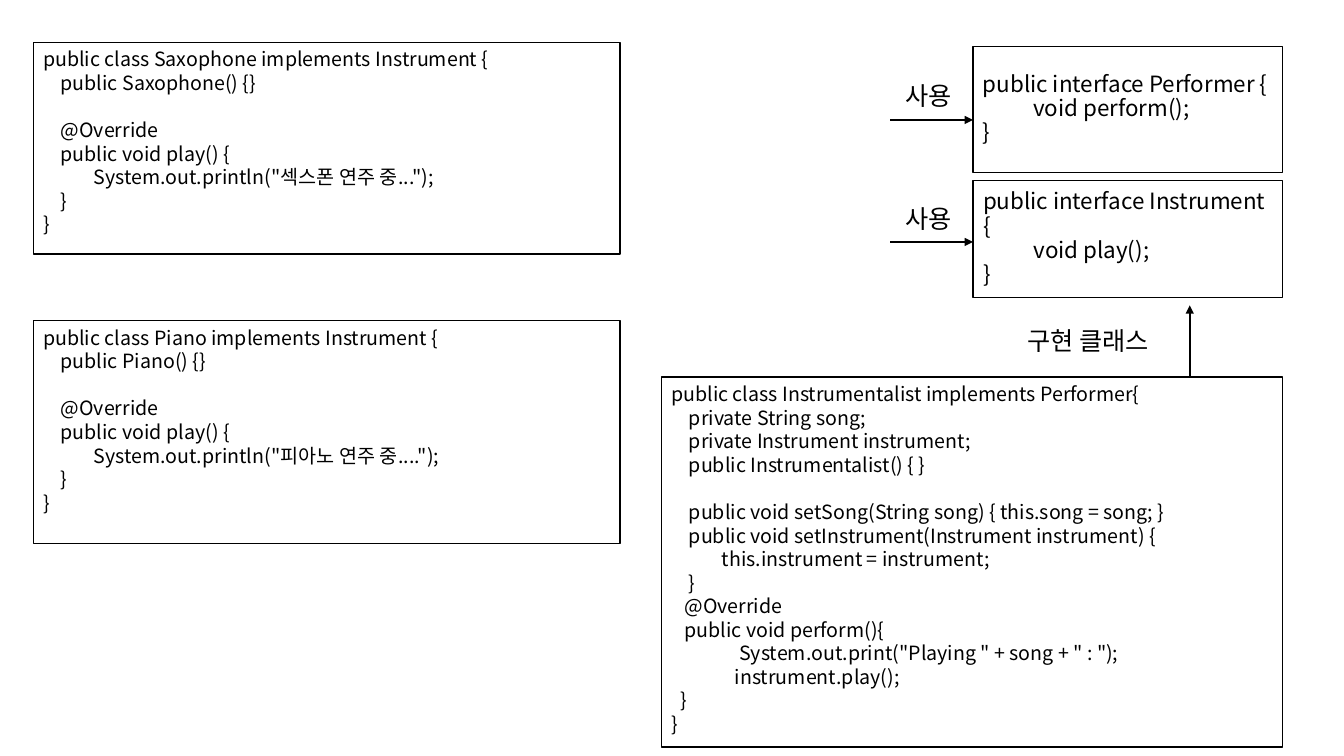
"""Build a slide relating Java instrument classes to their interfaces."""
from lxml.etree import SubElement
from pptx import Presentation
from pptx.dml.color import RGBColor
from pptx.enum.shapes import MSO_CONNECTOR, MSO_SHAPE
from pptx.enum.text import MSO_ANCHOR, MSO_AUTO_SIZE, PP_ALIGN
from pptx.oxml.ns import qn
from pptx.util import Inches, Pt

BLACK = RGBColor(0x00, 0x00, 0x00)
WHITE = RGBColor(0xFF, 0xFF, 0xFF)
FONT = "Noto Sans CJK KR"
CODE_SIZE, INTERFACE_SIZE, LABEL_SIZE = 14, 16, 18
EMPTY_LINE = Pt(17)

LEFT_X, LEFT_WIDTH = 0.33, 5.82
RIGHT_EDGE, INTERFACE_WIDTH, PERFORMER_WIDTH = 12.72, 3.07, 6.16
INTERFACE_X = RIGHT_EDGE - INTERFACE_WIDTH
PERFORMER_X, PERFORMER_Y = RIGHT_EDGE - PERFORMER_WIDTH, 3.74
ARROW_X, LABEL_X, IMPLEMENT_X = 8.83, 8.88, 11.8


def instrument_code(name, print_line):
    return f"""public class {name} implements Instrument {{
    public {name}() {{}}

    @Override
    public void play() {{
{print_line}
    }}
}}"""


PERFORMER_CODE = """public class Instrumentalist implements Performer{
    private String song;
    private Instrument instrument;
    public Instrumentalist() { }

    public void setSong(String song) { this.song = song; }
    public void setInstrument(Instrument instrument) {
    \tthis.instrument = instrument;
    }
   @Override
   public void perform(){
    System.out.print("Playing " + song + " : ");
   instrument.play();
  }
}"""
INDENTED_LINES = ("    System.out.print(", "   instrument.play")

CLASSES = [
    (LEFT_X, 0.42, LEFT_WIDTH, 2.1,
     instrument_code("Saxophone", '         \tSystem.out.println("섹스폰 연주 중...");')),
    (LEFT_X, 3.18, LEFT_WIDTH, 2.21,
     instrument_code("Piano", '    \tSystem.out.println("피아노 연주 중....");')),
    (PERFORMER_X, PERFORMER_Y, PERFORMER_WIDTH, 3.67, PERFORMER_CODE),
]
INSTRUMENT = (1.79, 1.16, ["public interface Instrument {", "\tvoid play();", "}"])
PERFORMER = (0.46, 1.25, ["public interface Performer {", "\tvoid perform();", "}"])
ARROWS = [
    (ARROW_X, 1.19, INTERFACE_X, 1.19),
    (ARROW_X, 2.4, INTERFACE_X, 2.4),
    (IMPLEMENT_X, PERFORMER_Y, IMPLEMENT_X, 3.03),
]
LABELS = [
    (LABEL_X, 0.75, 0.71, "사용"),
    (LABEL_X, 1.97, 0.71, "사용"),
    (10.09, 3.18, 1.55, "구현 클래스"),
]


def add_text(paragraph, text, size):
    run = paragraph.add_run()
    run.text = text
    run.font.name = FONT
    run.font.size = Pt(size)
    run.font.bold = False
    run.font.color.rgb = BLACK
    SubElement(run.font._element, qn("a:ea"), typeface=FONT)


def style_box(shape, anchor):
    shape.fill.solid()
    shape.fill.fore_color.rgb = WHITE
    shape.line.color.rgb = BLACK
    shape.line.width = Pt(1)
    frame = shape.text_frame
    frame.word_wrap = True
    frame.auto_size = MSO_AUTO_SIZE.NONE
    frame.vertical_anchor = anchor


def add_box(slide, x, y, width, height):
    shape = slide.shapes.add_shape(
        MSO_SHAPE.RECTANGLE, Inches(x), Inches(y), Inches(width), Inches(height))
    shape.shadow.inherit = False
    return shape


def add_class(slide, x, y, width, height, code):
    shape = add_box(slide, x, y, width, height)
    style_box(shape, MSO_ANCHOR.TOP)
    frame = shape.text_frame
    after_empty = False
    for index, line in enumerate(code.split("\n")):
        if not line:
            after_empty = True
            continue
        paragraph = frame.paragraphs[0] if index == 0 else frame.add_paragraph()
        paragraph.alignment = PP_ALIGN.LEFT
        if line.startswith(INDENTED_LINES):
            paragraph.level = 1
        if after_empty:
            paragraph.space_before = EMPTY_LINE
            after_empty = False
        add_text(paragraph, line, CODE_SIZE)


def fill_interface(shape, lines):
    style_box(shape, MSO_ANCHOR.MIDDLE)
    paragraph = shape.text_frame.paragraphs[0]
    paragraph.alignment = PP_ALIGN.LEFT
    paragraph.line_spacing = 0.9
    for index, line in enumerate(lines):
        if index:
            paragraph.add_line_break()
        add_text(paragraph, line, INTERFACE_SIZE)


def add_arrow(slide, *ends):
    arrow = slide.shapes.add_connector(
        MSO_CONNECTOR.STRAIGHT, *(Inches(value) for value in ends))
    arrow.line.color.rgb = BLACK
    arrow.line.width = Pt(1.5)
    SubElement(arrow.line._get_or_add_ln(), qn("a:tailEnd"), type="triangle")
    SubElement(arrow._element.spPr, qn("a:effectLst"))


def add_label(slide, x, y, width, text):
    label = slide.shapes.add_textbox(Inches(x), Inches(y), Inches(width), Inches(0.4))
    label.text_frame.word_wrap = False
    label.text_frame.auto_size = MSO_AUTO_SIZE.SHAPE_TO_FIT_TEXT
    add_text(label.text_frame.paragraphs[0], text, LABEL_SIZE)


def main():
    presentation = Presentation()
    presentation.slide_width = Inches(13.33)
    presentation.slide_height = Inches(7.5)
    slide = presentation.slides.add_slide(presentation.slide_layouts[5])

    title = slide.shapes.title
    top, height, lines = INSTRUMENT
    title.left, title.top = Inches(INTERFACE_X), Inches(top)
    title.width, title.height = Inches(INTERFACE_WIDTH), Inches(height)
    fill_interface(title, lines)

    top, height, lines = PERFORMER
    fill_interface(add_box(slide, INTERFACE_X, top, INTERFACE_WIDTH, height), lines)
    for class_box in CLASSES:
        add_class(slide, *class_box)
    for arrow in ARROWS:
        add_arrow(slide, *arrow)
    for label in LABELS:
        add_label(slide, *label)
    presentation.save("out.pptx")


if __name__ == "__main__":
    main()
